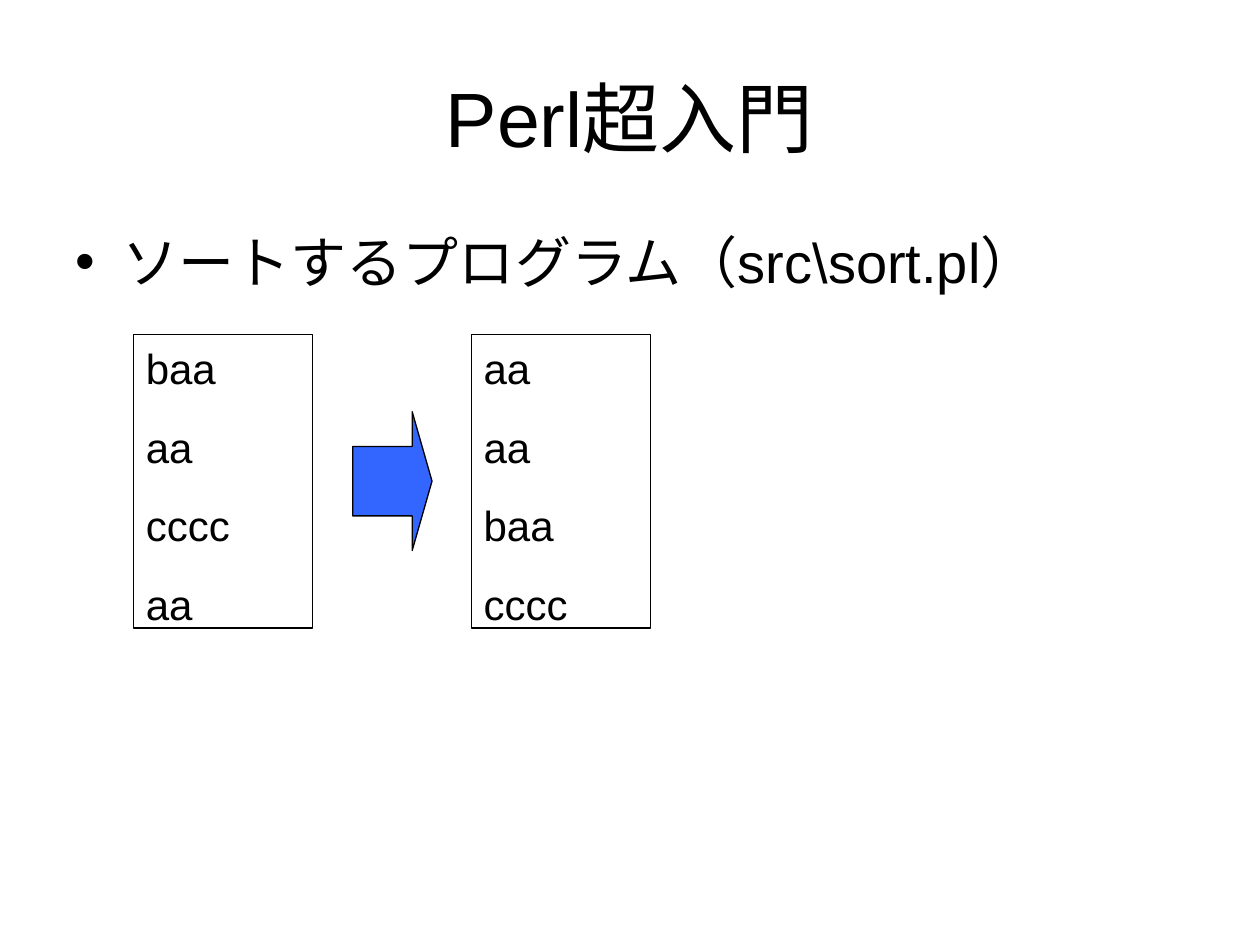
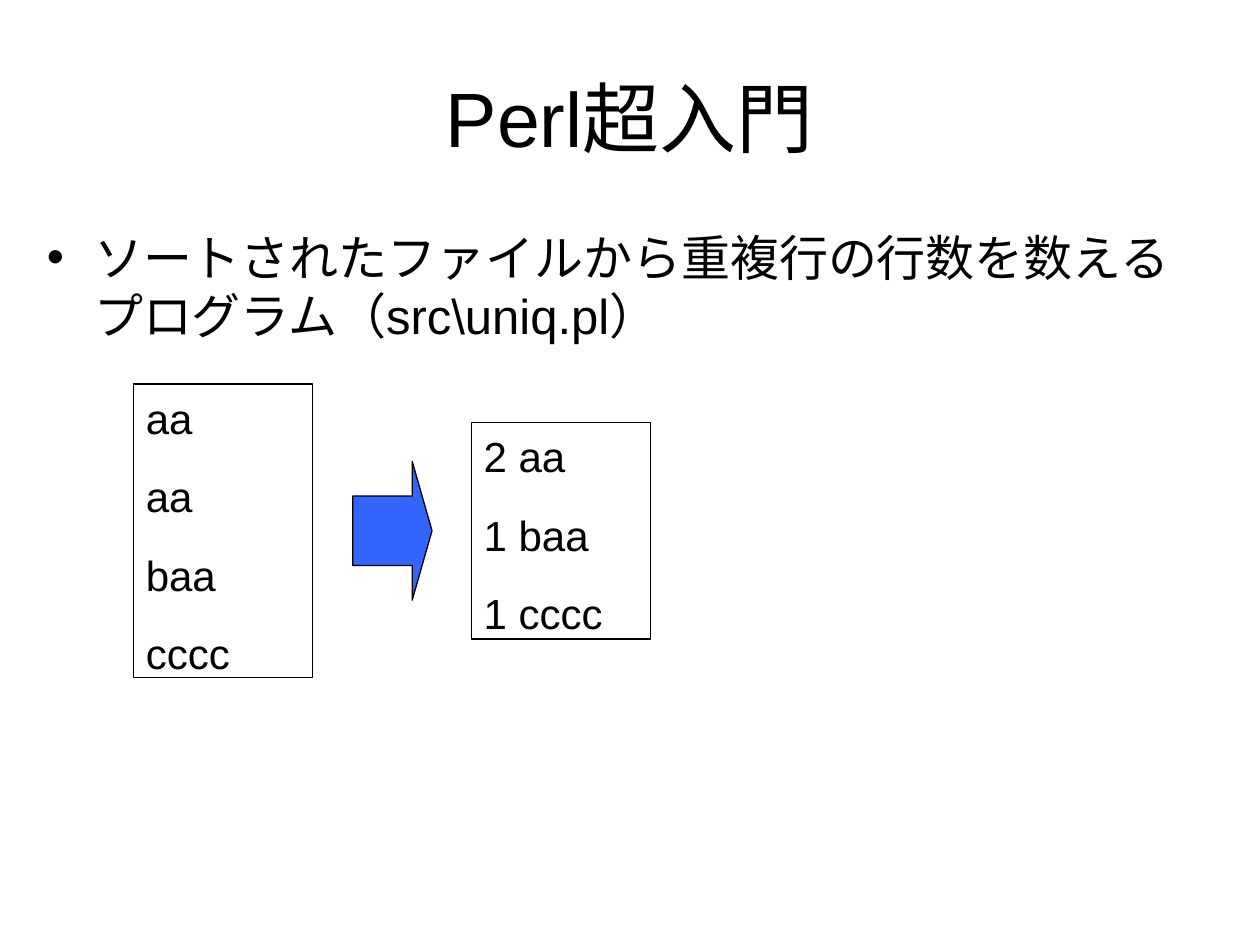
from dataclasses import dataclass

from pptx import Presentation
from pptx.dml.color import RGBColor
from pptx.enum.shapes import MSO_SHAPE
from pptx.enum.text import MSO_ANCHOR, MSO_AUTO_SIZE, PP_ALIGN
from pptx.util import Cm, Pt


@dataclass(frozen=True)
class Theme:
    font: str = "Arial"
    ink: RGBColor = RGBColor(0, 0, 0)
    arrow: RGBColor = RGBColor(0x33, 0x66, 0xFF)
    paper: RGBColor = RGBColor(0xFF, 0xFF, 0xFF)
    title_size: int = 44
    data_size: int = 24
    outline: float = 0.75


THEME = Theme()
TITLE = "Perl超入門"
INPUT_LEFT, ARROW_LEFT, OUTPUT_LEFT = 2.69, 7.11, 9.5
BOX_WIDTH = 3.61
ARROW_WIDTH, ARROW_HEIGHT = 1.6, 2.8
LINE_PITCH, BOX_TRIM = 1.55, 0.28


def place(shape, left, top, width, height):
    shape.left, shape.top = Cm(left), Cm(top)
    shape.width, shape.height = Cm(width), Cm(height)


def add_run(paragraph, text, size):
    run = paragraph.add_run()
    run.text = text
    run.font.name = THEME.font
    run.font.size = Pt(size)
    run.font.color.rgb = THEME.ink


def add_title(slide, text):
    title = slide.shapes.title
    place(title, 1.27, 0.76, 22.86, 3.18)
    title.text_frame.vertical_anchor = MSO_ANCHOR.MIDDLE
    title.text_frame.auto_size = MSO_AUTO_SIZE.NONE
    paragraph = title.text_frame.paragraphs[0]
    paragraph.alignment = PP_ALIGN.CENTER
    add_run(paragraph, text, THEME.title_size)


def add_bullet(slide, lines, size, left, width, height):
    """Fill the body with one bullet, broken between the given lines."""
    body = slide.placeholders[1]
    place(body, left, 4.45, width, height)
    body.text_frame.auto_size = MSO_AUTO_SIZE.NONE
    paragraph = body.text_frame.paragraphs[0]
    paragraph.space_before = Pt(size // 4)
    for index, line in enumerate(lines):
        if index:
            paragraph.add_line_break()
        add_run(paragraph, line, size)


def add_outlined_shape(slide, kind, left, middle, width, height):
    """Add a shape whose vertical centre lies at middle."""
    shape = slide.shapes.add_shape(
        kind, Cm(left), Cm(middle - height / 2), Cm(width), Cm(height))
    shape.shadow.inherit = False
    shape.line.color.rgb = THEME.ink
    shape.line.width = Pt(THEME.outline)
    return shape


def add_file_box(slide, left, middle, lines):
    height = LINE_PITCH * len(lines) - BOX_TRIM
    box = add_outlined_shape(
        slide, MSO_SHAPE.RECTANGLE, left, middle, BOX_WIDTH, height)
    box.fill.background()
    frame = box.text_frame
    frame.word_wrap = True
    frame.vertical_anchor = MSO_ANCHOR.TOP
    for index, line in enumerate(lines):
        paragraph = frame.add_paragraph() if index else frame.paragraphs[0]
        paragraph.alignment = PP_ALIGN.LEFT
        paragraph.space_before = Pt(15)
        paragraph.line_spacing = 1.04
        add_run(paragraph, line, THEME.data_size)


def add_arrow(slide, middle):
    arrow = add_outlined_shape(
        slide, MSO_SHAPE.RIGHT_ARROW, ARROW_LEFT, middle,
        ARROW_WIDTH, ARROW_HEIGHT)
    arrow.adjustments[0] = 0.5
    arrow.adjustments[1] = 0.25
    arrow.fill.solid()
    arrow.fill.fore_color.rgb = THEME.arrow


def add_conversion(slide, middle, input_lines, output_lines):
    add_file_box(slide, INPUT_LEFT, middle, input_lines)
    add_arrow(slide, middle)
    add_file_box(slide, OUTPUT_LEFT, middle, output_lines)


def add_lesson(presentation):
    slide = presentation.slides.add_slide(presentation.slide_layouts[1])
    add_title(slide, TITLE)
    return slide


def main():
    presentation = Presentation()
    presentation.slide_width, presentation.slide_height = Cm(25.4), Cm(19.05)
    background = presentation.slide_master.background.fill
    background.solid()
    background.fore_color.rgb = THEME.paper

    unsorted_lines = ["baa", "aa", "cccc", "aa"]
    sorted_lines = sorted(unsorted_lines)
    counted_lines = ["2 aa", "1 baa", "1 cccc"]

    sort_slide = add_lesson(presentation)
    add_bullet(sort_slide, ["ソートするプログラム（src\\sort.pl）"],
               size=32, left=1.27, width=23.62, height=1.68)
    add_conversion(sort_slide, 9.7, unsorted_lines, sorted_lines)

    count_slide = add_lesson(presentation)
    add_bullet(count_slide,
               ["ソートされたファイルから重複行の行数を数える",
                "プログラム（src\\uniq.pl）"],
               size=28, left=0.69, width=24.21, height=2.87)
    add_conversion(count_slide, 10.7, sorted_lines, counted_lines)

    presentation.save("out.pptx")


if __name__ == "__main__":
    main()
